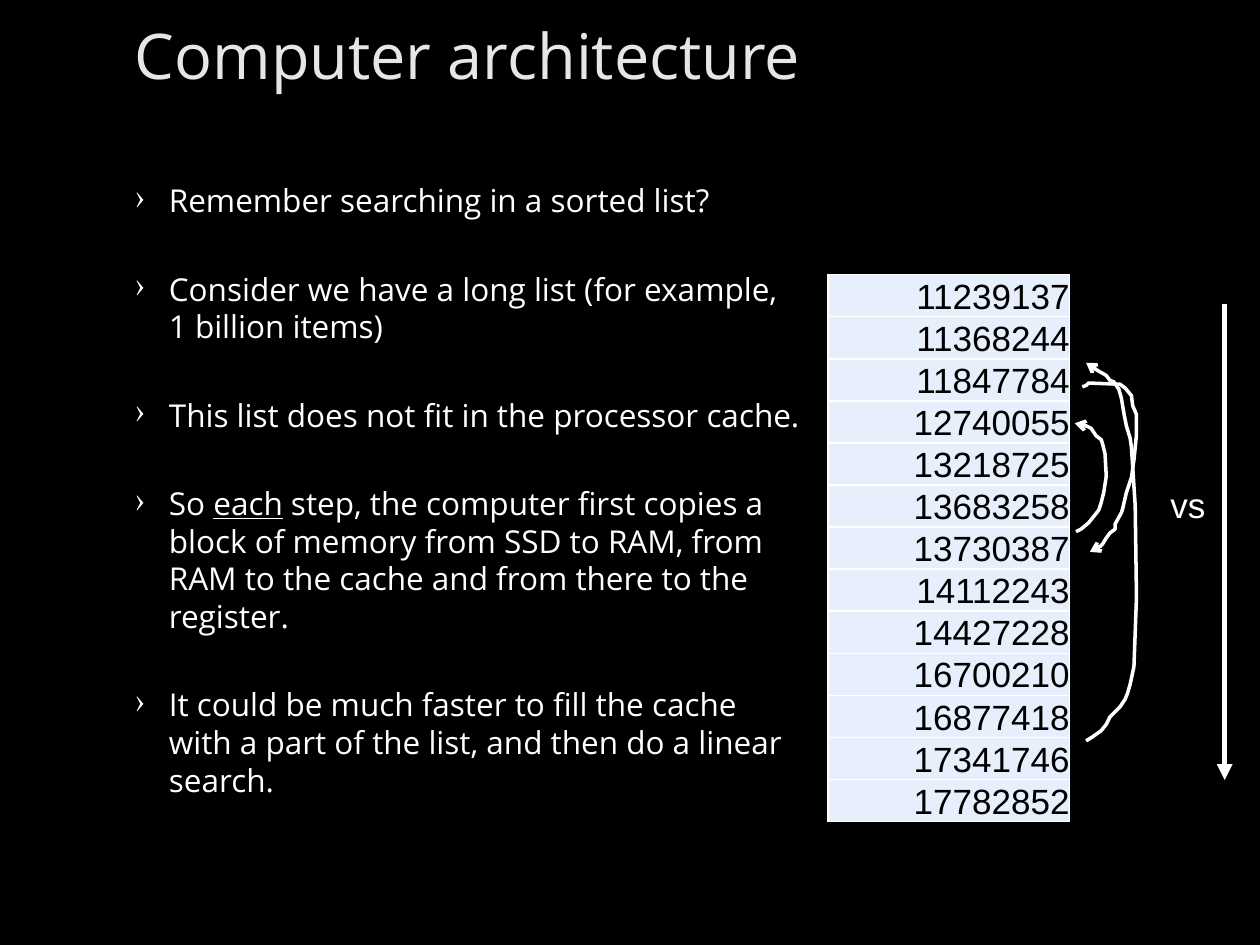
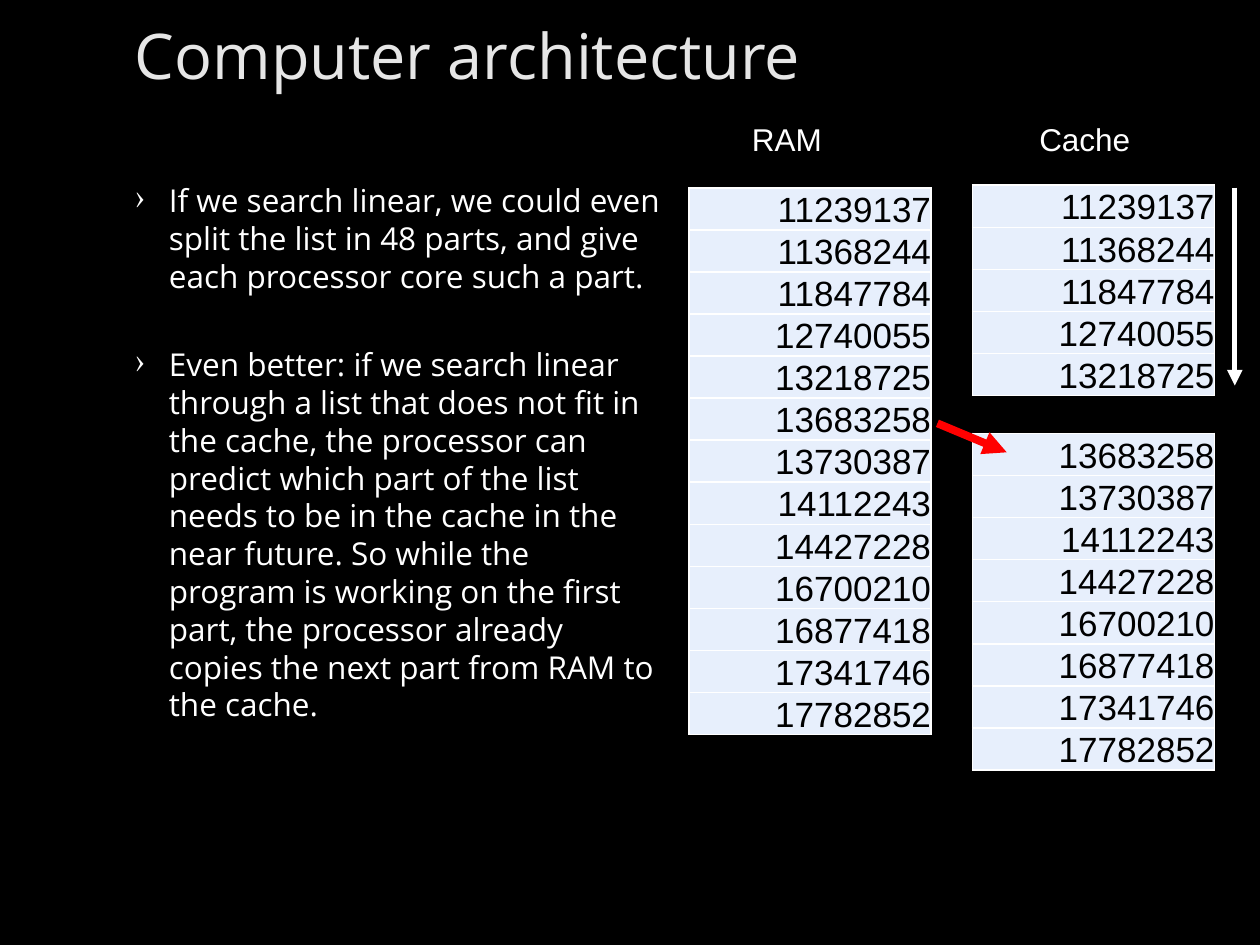
from collections import namedtuple

from lxml import etree
from pptx import Presentation
from pptx.dml.color import RGBColor
from pptx.enum.shapes import MSO_CONNECTOR
from pptx.enum.text import MSO_ANCHOR, MSO_AUTO_SIZE, PP_ALIGN
from pptx.oxml.ns import qn
from pptx.util import Inches, Pt

STRAIGHT = MSO_CONNECTOR.STRAIGHT
MIDDLE, BOTTOM = MSO_ANCHOR.MIDDLE, MSO_ANCHOR.BOTTOM
RIGHT = PP_ALIGN.RIGHT
FIT_SHAPE = MSO_AUTO_SIZE.SHAPE_TO_FIT_TEXT

COLORS = {
    "background": "000000",
    "title": "E6E6E6",
    "text": "FFFFFF",
    "cell": "E7EFFC",
    "number": "000000",
    "copy": "FF0000",
}
HEADING_FONT, NUMBER_FONT = "Open Sans", "Arial"

# The slide is a grid of 100 columns by 75 rows.
COLUMNS, ROWS = 100, 75
SLIDE_WIDTH, SLIDE_HEIGHT = Inches(10), Inches(7.5)
TEXT_INDENT = 10.7
LIST_WIDTH, CELL_HEIGHT = 19.2, 3.1

Box = namedtuple("Box", "left top width height")
TITLE_BOX = Box(0, 0, 100, 8.7)

NUMBERS = [
    11239137, 11368244, 11847784, 12740055, 13218725, 13683258, 13730387,
    14112243, 14427228, 16700210, 16877418, 17341746, 17782852,
]
CACHE_SIZE = 5

# Jumps of the binary search, in grid units from the corner of their region.
JUMPS_BOX = Box(85, 28, 6, 31)
JUMPS = [
    [(1.2, 30.8), (1.7, 30.5), (2.4, 30), (2.8, 29.5), (3.1, 28.9),
     (3.5, 28.5), (3.9, 28.1), (4.3, 27.5), (4.5, 27), (4.7, 26.3),
     (5, 24.9), (5.2, 19.4), (5.1, 12.1), (5, 10.6), (4.8, 7.5),
     (4.7, 6.8), (4.4, 5.8), (4.2, 4.8), (4, 3.6), (3.8, 2.9),
     (3.4, 2.3), (3.1, 2.2), (2.8, 1.8), (2.1, 1.4), (1.2, 0.8)],
    [(0.9, 2.7), (1.2, 2.6), (1.4, 2.4), (3.9, 2.5), (4.3, 2.8),
     (4.8, 3.4), (4.9, 4.2), (5.2, 4.9), (5.2, 6.5), (5, 8.5),
     (4.8, 9.9), (4.4, 11.1), (4.1, 12.4), (4, 12.7), (3.5, 13.6),
     (3.5, 14), (3.1, 14.3), (2.8, 14.7), (2.5, 15.2), (2.1, 15.6),
     (1.5, 15.8)],
    [(0.4, 14.2), (0.8, 14), (1.4, 13.5), (1.8, 13), (2.2, 12.5),
     (2.4, 11.9), (2.6, 11.1), (2.8, 9.8), (2.7, 8), (2.5, 7.2),
     (2.4, 6.9), (2, 6.6), (1.6, 6), (0.8, 5.6), (0.3, 5.6)],
]


def across(columns):
    return round(SLIDE_WIDTH * columns / COLUMNS)


def down(rows):
    return round(SLIDE_HEIGHT * rows / ROWS)


def place(box):
    return across(box.left), down(box.top), across(box.width), down(box.height)


def color(name):
    return RGBColor.from_string(COLORS[name])


def style_font(para, font, size, color_name):
    para.font.name, para.font.size = font, Pt(size)
    para.font.color.rgb = color(color_name)


def draw_line_style(shape, color_name, width, head):
    """Set the line of a shape, with an arrowhead at its end and no shadow."""
    shape.line.color.rgb = color(color_name)
    shape.line.width = Pt(width)
    outline = shape.line._get_or_add_ln()
    etree.SubElement(outline, qn("a:tailEnd"), type=head)
    if shape._element.spPr.find(qn("a:effectLst")) is None:
        etree.SubElement(shape._element.spPr, qn("a:effectLst"))


def add_arrow(page, start, end, color_name="text", width=3):
    arrow = page.shapes.add_connector(
        STRAIGHT, across(start[0]), down(start[1]), across(end[0]), down(end[1]))
    draw_line_style(arrow, color_name, width, "triangle")


def add_jumps(page, box):
    for points in JUMPS:
        steps = [(across(x), down(y)) for x, y in points]
        builder = page.shapes.build_freeform(*steps[0])
        builder.add_line_segments(steps[1:], close=False)
        jump = builder.convert_to_shape(across(box.left), down(box.top))
        jump.shadow.inherit = False
        jump.fill.background()
        draw_line_style(jump, "text", 2, "arrow")


def add_framed_text(page, box, top_inset=0.5):
    """Add a wrapping text box with the margins shared by title and bullets."""
    frame = page.shapes.add_textbox(*place(box)).text_frame
    frame.word_wrap = True
    frame.margin_left, frame.margin_right = across(TEXT_INDENT), across(3)
    frame.margin_top, frame.margin_bottom = down(top_inset), down(0.5)
    return frame


def add_title(page, text):
    frame = add_framed_text(page, TITLE_BOX)
    frame.vertical_anchor = MIDDLE
    para = frame.paragraphs[0]
    para.text = text
    style_font(para, HEADING_FONT, 36, "title")


def add_bullets(page, box, bullets):
    """Fill a box with bullets; text between underscores is underlined."""
    frame = add_framed_text(page, box, top_inset=4.5)
    for index, bullet in enumerate(bullets):
        para = frame.add_paragraph() if index else frame.paragraphs[0]
        para.space_before = Pt(28.8 if index else 0)
        style_font(para, HEADING_FONT, 18, "text")
        for part, text in enumerate(bullet.split("_")):
            span = para.add_run()
            span.text = text
            if part % 2:
                span.font.underline = True
        properties = para._p.get_or_add_pPr()
        properties.set("marL", str(across(2.7)))
        properties.set("indent", str(-across(2.7)))
        mark = etree.Element(qn("a:buChar"), char="›")
        properties.find(qn("a:defRPr")).addprevious(mark)


def add_label(page, box, text, size):
    frame = page.shapes.add_textbox(*place(box)).text_frame
    frame.word_wrap = False
    frame.auto_size = FIT_SHAPE
    para = frame.paragraphs[0]
    para.text = text
    style_font(para, NUMBER_FONT, size, "text")


def add_cell_borders(cell):
    properties = cell._tc.get_or_add_tcPr()
    for position, side in enumerate(("a:lnL", "a:lnR", "a:lnT", "a:lnB")):
        border = etree.Element(qn(side), w=str(Pt(1)))
        fill = etree.SubElement(border, qn("a:solidFill"))
        etree.SubElement(fill, qn("a:srgbClr"), val=COLORS["text"])
        properties.insert(position, border)


def add_number_list(page, left, top, numbers):
    box = Box(left, top, LIST_WIDTH, CELL_HEIGHT * len(numbers))
    table = page.shapes.add_table(len(numbers), 1, *place(box)).table
    table.first_row = table.horz_banding = False
    for row, number in enumerate(numbers):
        table.rows[row].height = down(CELL_HEIGHT)
        cell = table.cell(row, 0)
        cell.margin_left = cell.margin_right = 0
        cell.margin_top = cell.margin_bottom = 0
        cell.vertical_anchor = BOTTOM
        cell.fill.solid()
        cell.fill.fore_color.rgb = color("cell")
        add_cell_borders(cell)
        para = cell.text_frame.paragraphs[0]
        para.text = str(number)
        para.alignment = RIGHT
        style_font(para, NUMBER_FONT, 20, "number")


def add_page(deck, text_width, bullets):
    page = deck.slides.add_slide(deck.slide_layouts[6])
    add_title(page, "Computer architecture")
    add_bullets(page, Box(0, 9.9, text_width, 61.7), bullets)
    return page


def add_search_page(deck):
    page = add_page(deck, 66.5, [
        "Remember searching in a sorted list?",
        "Consider we have a long list (for example, 1 billion items)",
        "This list does not fit in the processor cache.",
        "So _each_ step, the computer first copies a block of memory from SSD "
        "to RAM, from RAM to the cache and from there to the register.",
        "It could be much faster to fill the cache with a part of the list, "
        "and then do a linear search.",
    ])
    add_number_list(page, 65.7, 21.8, NUMBERS)
    add_jumps(page, JUMPS_BOX)
    add_arrow(page, (97.2, 24.1), (97.2, 61.9))
    add_label(page, Box(91.9, 37.9, 4.8, 4.4), "vs", 20)


def add_cache_page(deck):
    page = add_page(deck, 55.5, [
        "If we search linear, we could even split the list in 48 parts, and "
        "give each processor core such a part.",
        "Even better: if we search linear through a list that does not fit in "
        "the cache, the processor can predict which part of the list needs to "
        "be in the cache in the near future. So while the program is working "
        "on the first part, the processor already copies the next part from "
        "RAM to the cache.",
    ])
    ram_left, cache_left = 54.7, 77.2
    add_number_list(page, ram_left, 14.9, NUMBERS)
    add_arrow(page, (98, 14.9), (98, 30.6))
    add_number_list(page, cache_left, 34.4, NUMBERS[CACHE_SIZE:])
    add_number_list(page, cache_left, 14.7, NUMBERS[:CACHE_SIZE])
    add_arrow(page, (74.4, 33.6), (79.9, 35.9), "copy", 4.5)
    add_label(page, Box(58.7, 9, 7.6, 4), "RAM", 18)
    add_label(page, Box(81.5, 9, 9.3, 4), "Cache", 18)


def main():
    deck = Presentation()
    deck.slide_width, deck.slide_height = SLIDE_WIDTH, SLIDE_HEIGHT
    background = deck.slide_master.background.fill
    background.solid()
    background.fore_color.rgb = color("background")
    add_search_page(deck)
    add_cache_page(deck)
    deck.save("out.pptx")


if __name__ == "__main__":
    main()
